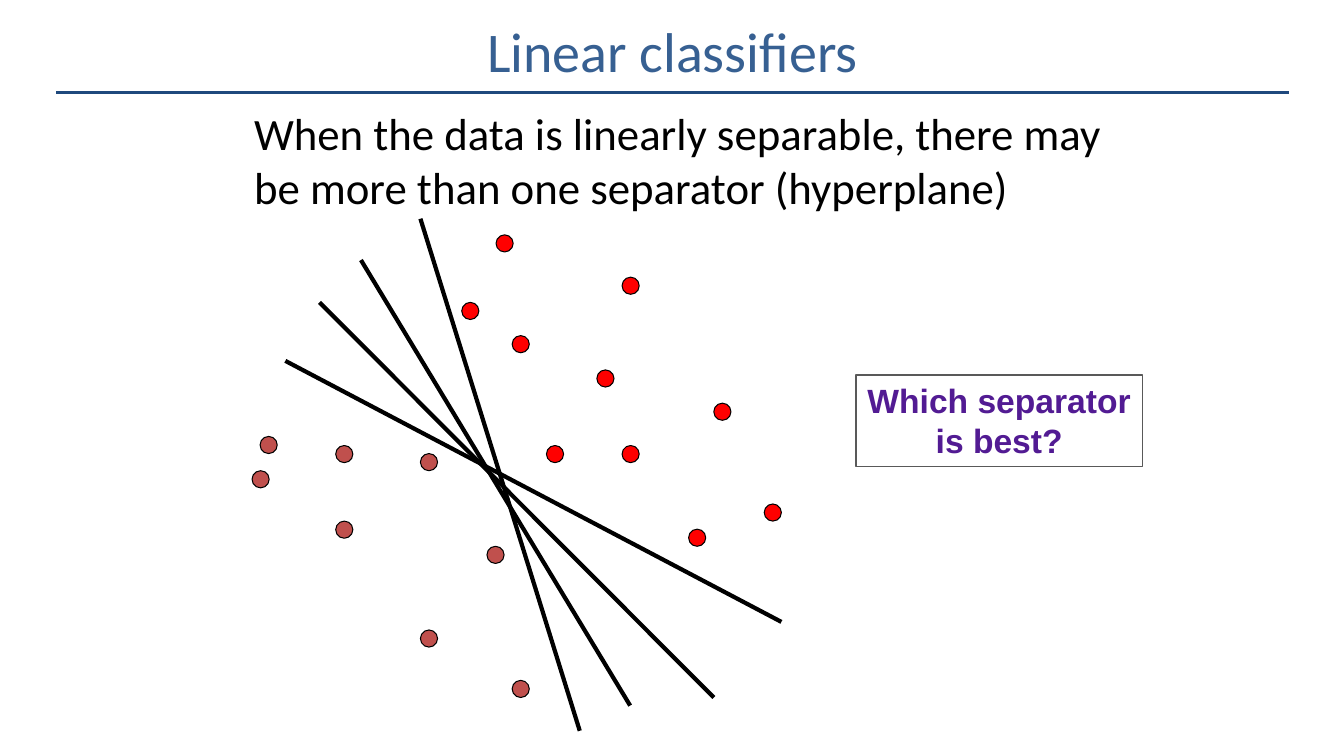
from lxml import etree
from pptx import Presentation
from pptx.dml.color import RGBColor
from pptx.enum.shapes import MSO_CONNECTOR as CONNECTOR, MSO_SHAPE as SHAPE
from pptx.enum.text import MSO_ANCHOR as ANCHOR, MSO_AUTO_SIZE as AUTO_SIZE, PP_ALIGN as ALIGN
from pptx.oxml.ns import qn
from pptx.util import Inches, Pt


def write(box, text, size, color, font="Calibri", bold=False, align=ALIGN.LEFT,
          anchor=ANCHOR.TOP, wrap=True, fit=AUTO_SIZE.NONE):
    frame = box.text_frame
    frame.auto_size = fit
    frame.word_wrap = wrap
    frame.vertical_anchor = anchor
    para = frame.paragraphs[0]
    para.text = text
    para.alignment = align
    para.space_before = Pt(0)
    for span in para.runs:
        span.font.name = font
        span.font.size = Pt(size)
        span.font.bold = bold
        span.font.color.rgb = RGBColor.from_string(color)
    return para


def draw_line(page, start, end, color, width):
    line = page.shapes.add_connector(CONNECTOR.STRAIGHT, *map(Inches, start + end))
    line.line.color.rgb = RGBColor.from_string(color)
    line.line.width = Pt(width)
    etree.SubElement(line._element.spPr, qn("a:effectLst"))


deck = Presentation()
deck.slide_width, deck.slide_height = Inches(13.33), Inches(7.5)
page = deck.slides.add_slide(deck.slide_layouts[1])

# Title with its rule
draw_line(page, (0.56, 0.92), (12.78, 0.92), "1F497D", 2.25)
title = page.shapes.title
title.left, title.top, title.width, title.height = map(Inches, (0.67, 0, 12, 1))
write(title, "Linear classifiers", 40, "376092", align=ALIGN.CENTER, anchor=ANCHOR.MIDDLE)

# Statement without a bullet
body = page.placeholders[1]
body.left, body.top, body.width, body.height = map(Inches, (2.42, 1, 9, 5.75))
statement = write(body, "When the data is linearly separable, there may be more than one "
                  "separator (hyperplane)", 32, "000000")
properties = statement._p.get_or_add_pPr()
properties.set("marL", "0")
properties.set("indent", "0")
etree.SubElement(properties, qn("a:buNone"))

# Data points of the two classes
classes = {
    "C0504D": [(2.58, 4.33), (3.33, 4.42), (3.33, 5.17), (2.5, 4.67),
               (4.17, 4.5), (4.83, 5.42), (4.17, 6.25), (5.08, 6.75)],
    "FF0000": [(5.08, 3.33), (5.92, 3.67), (6.17, 4.42), (5.42, 4.42), (4.58, 3),
               (6.83, 5.25), (7.08, 4), (6.17, 2.75), (7.58, 5), (4.92, 2.33)],
}
for color, points in classes.items():
    for left, top in points:
        dot = page.shapes.add_shape(SHAPE.OVAL, *map(Inches, (left, top, 0.17, 0.17)))
        dot.shadow.inherit = False
        dot.fill.solid()
        dot.fill.fore_color.rgb = RGBColor.from_string(color)
        dot.line.color.rgb = RGBColor.from_string("000000")
        dot.line.width = Pt(0.75)

# Candidate separators
separators = [((3.17, 3), (7.08, 6.92)), ((3.58, 2.58), (6.25, 7)),
              ((4.17, 2.17), (5.75, 7.25)), ((2.83, 3.58), (7.75, 6.17))]
for start, end in separators:
    draw_line(page, start, end, "000000", 3)

# Question box
question = page.shapes.add_shape(SHAPE.RECTANGLE, *map(Inches, (8.49, 3.72, 2.84, 0.91)))
question.shadow.inherit = False
question.fill.background()
question.line.color.rgb = RGBColor.from_string("595959")
question.line.width = Pt(0.75)
write(question, "Which separator\vis best?", 24, "521B93", font="Arial", bold=True,
      align=ALIGN.CENTER, wrap=False, fit=AUTO_SIZE.SHAPE_TO_FIT_TEXT)

deck.save("out.pptx")
